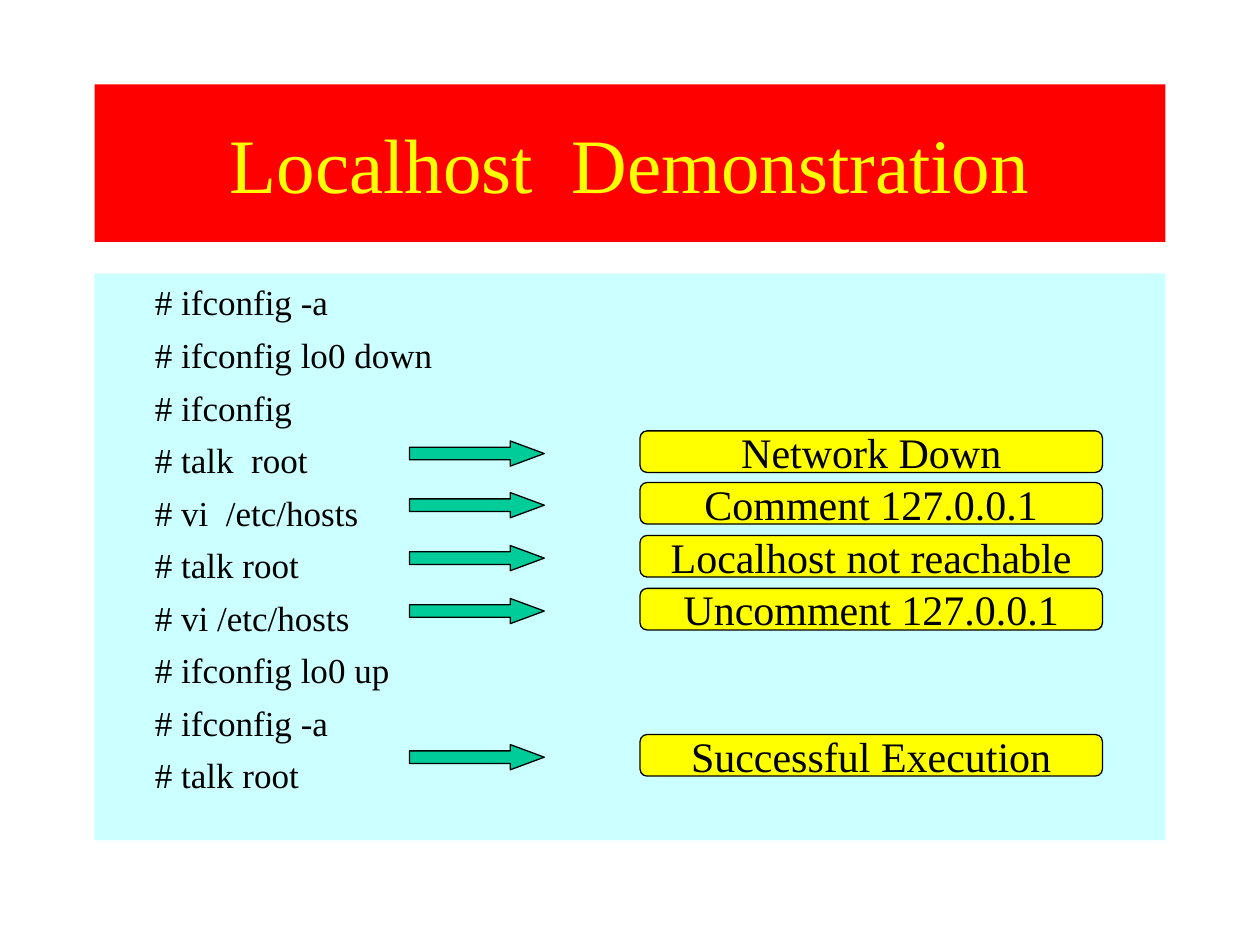
import pptx
import pptx.util
import pptx.dml.color
import pptx.enum.shapes
import pptx.enum.text

Inches = pptx.util.Inches
Pt = pptx.util.Pt
Shape = pptx.enum.shapes.MSO_SHAPE
Align = pptx.enum.text.PP_ALIGN
Anchor = pptx.enum.text.MSO_ANCHOR

TITLE = "Localhost  Demonstration"
COMMANDS = [
    "# ifconfig -a",
    "# ifconfig lo0 down",
    "# ifconfig",
    "# talk  root",
    "# vi  /etc/hosts",
    "# talk root",
    "# vi /etc/hosts",
    "# ifconfig lo0 up",
    "# ifconfig -a",
    "# talk root",
]
# (top in inches, label)
RESULTS = [
    (3.42, "Network Down"),
    (3.83, "Comment 127.0.0.1"),
    (4.25, "Localhost not reachable"),
    (4.67, "Uncomment 127.0.0.1"),
    (5.83, "Successful Execution"),
]
COLORS = {
    "title_fill": "FF0000",
    "title_text": "FFFF00",
    "panel": "CCFFFF",
    "result": "FFFF00",
    "arrow": "00CC99",
    "ink": "000000",
}
FONT = "Times New Roman"
LEFT, WIDTH = 0.75, 8.5
ARROW_OFFSET = 0.08


def rgb(name):
    return pptx.dml.color.RGBColor.from_string(COLORS[name])


def set_fill(shape, color):
    shape.fill.solid()
    shape.fill.fore_color.rgb = rgb(color)


def write(shape, lines, size, color, para_format, frame_format):
    frame = shape.text_frame
    for name, value in frame_format.items():
        setattr(frame, name, value)
    for index, line in enumerate(lines):
        para = frame.paragraphs[0] if index == 0 else frame.add_paragraph()
        para.text = line
        for name, value in para_format.items():
            setattr(para, name, value)
        para.space_before = Pt(6 if index else 0)
        para.font.name = FONT
        para.font.size = Pt(size)
        para.font.color.rgb = rgb(color)


def add_shape(slide, kind, bounds, color, adjustments=(), outlined=True):
    shape = slide.shapes.add_shape(kind, *map(Inches, bounds))
    shape.shadow.inherit = False
    set_fill(shape, color)
    for index, value in enumerate(adjustments):
        shape.adjustments[index] = value
    if outlined:
        shape.line.color.rgb = rgb("ink")
        shape.line.width = Pt(0.75)
    else:
        shape.line.fill.background()
    return shape


def main():
    deck = pptx.Presentation()
    deck.slide_width, deck.slide_height = Inches(10), Inches(7.5)
    slide = deck.slides.add_slide(deck.slide_layouts[5])
    centered = {"alignment": Align.CENTER}

    title = slide.shapes.title
    title.left, title.top = Inches(LEFT), Inches(0.67)
    title.width, title.height = Inches(WIDTH), Inches(1.25)
    set_fill(title, "title_fill")
    write(title, [TITLE], 44, "title_text", centered,
          {"vertical_anchor": Anchor.MIDDLE, "word_wrap": True})

    panel = add_shape(slide, Shape.RECTANGLE, (LEFT, 2.17, WIDTH, 4.5), "panel", outlined=False)
    write(panel, COMMANDS, 20, "ink", {"alignment": Align.LEFT},
          {"vertical_anchor": Anchor.TOP, "word_wrap": True,
           "margin_left": Inches(0.48), "margin_top": Inches(0.06)})

    for top, label in RESULTS:
        add_shape(slide, Shape.RIGHT_ARROW, (3.25, top + ARROW_OFFSET, 1.07, 0.2),
                  "arrow", (0.5, 1.35))
        result = add_shape(slide, Shape.ROUNDED_RECTANGLE, (5.08, top, 3.67, 0.33),
                           "result", (0.17,))
        write(result, [label], 24, "ink", centered,
              {"vertical_anchor": Anchor.MIDDLE, "word_wrap": False})

    deck.save("out.pptx")


if __name__ == "__main__":
    main()
